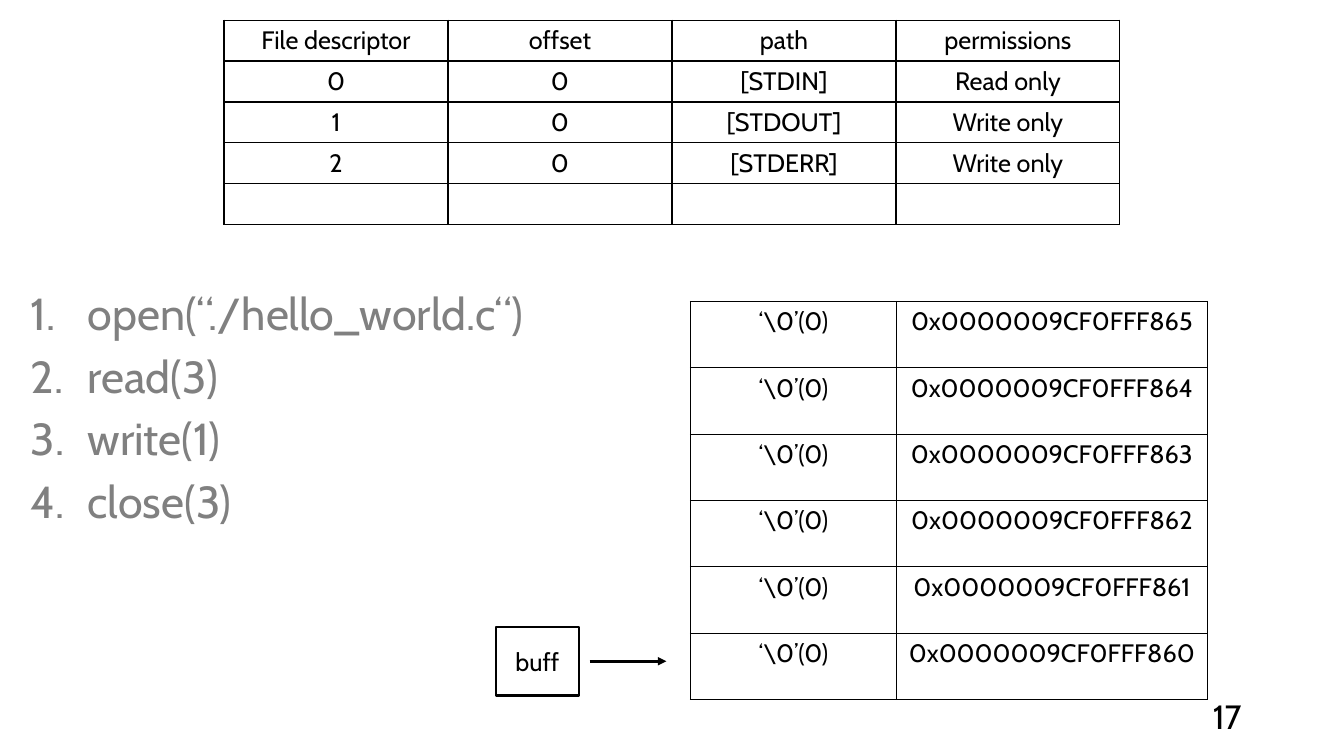
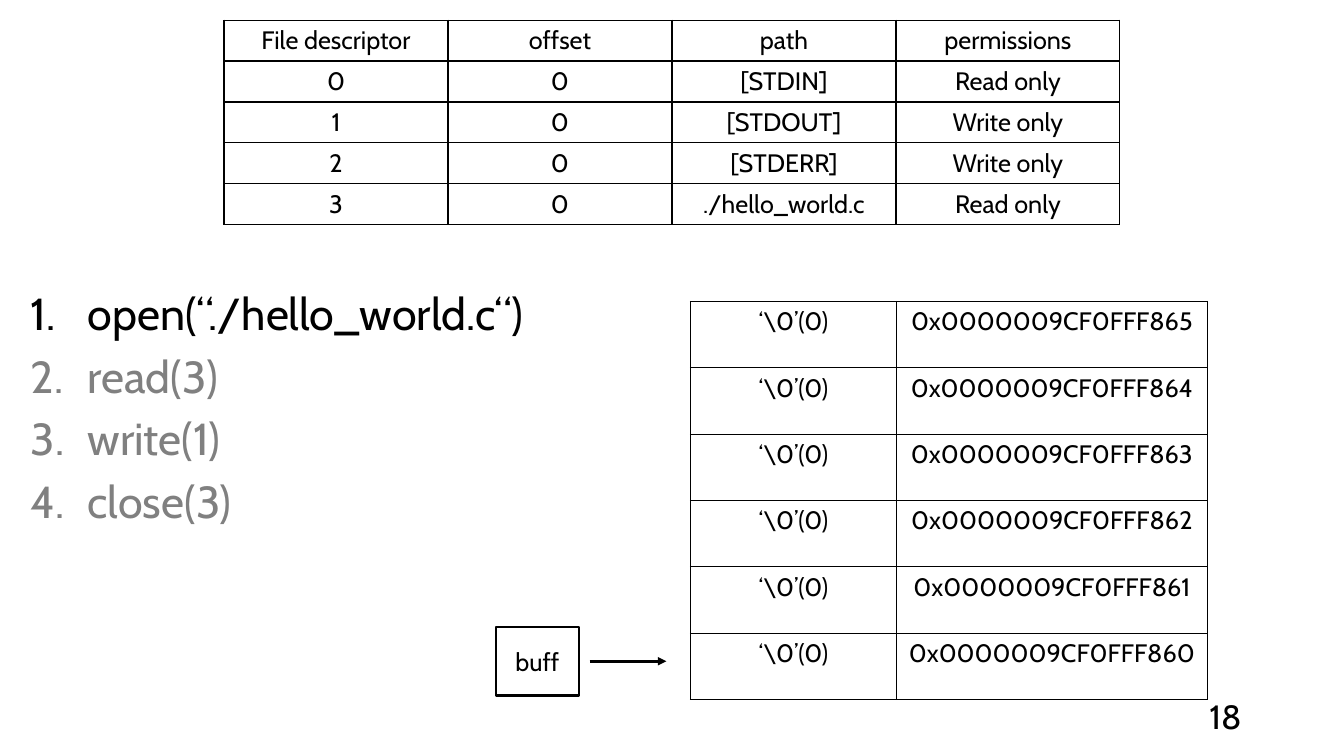
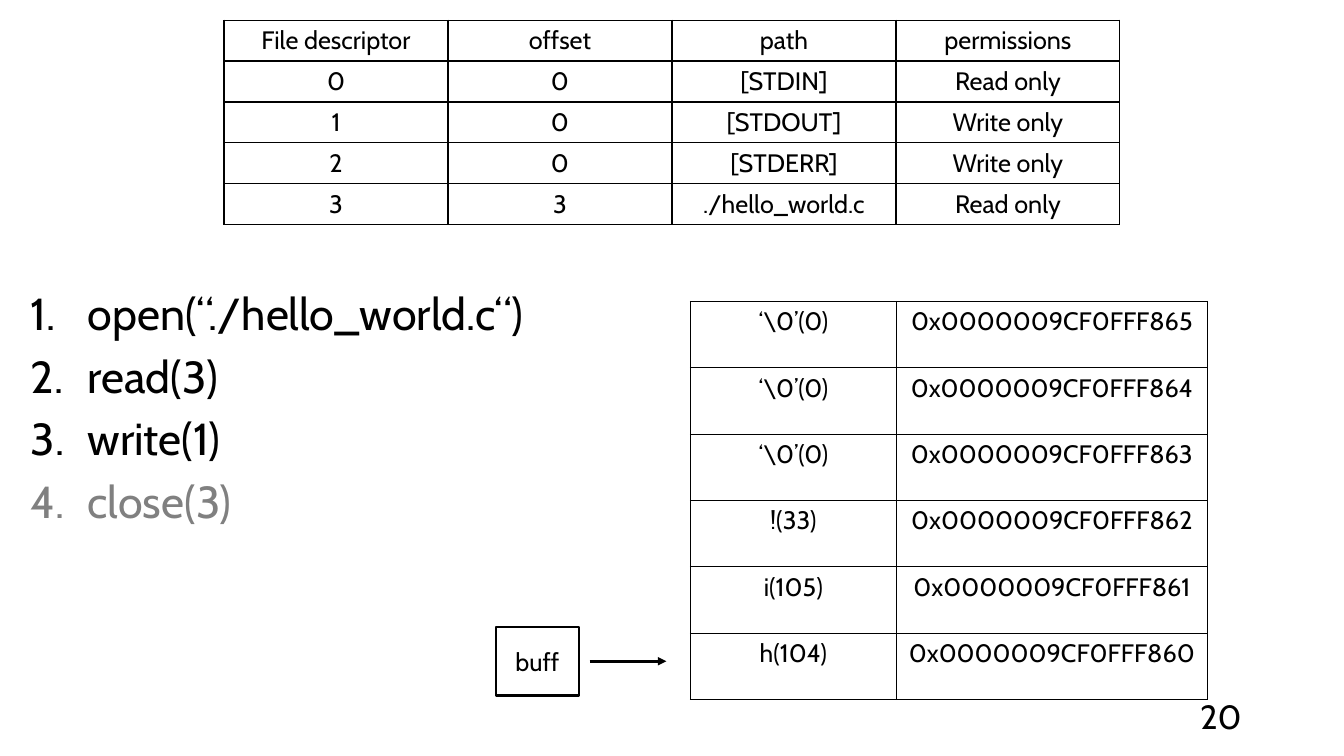
from lxml.etree import SubElement
from pptx import Presentation
from pptx.dml.color import RGBColor
from pptx.enum.shapes import MSO_CONNECTOR as Connector, MSO_SHAPE as Shape
from pptx.enum.text import MSO_ANCHOR as Anchor, PP_ALIGN as Align
from pptx.oxml import parse_xml
from pptx.oxml.ns import nsdecls, qn
from pptx.util import Pt

# Shared look
FONT = "Cabin"
BLACK, GREY, WHITE = "000000", "808080", "FFFFFF"
BODY_SIZE, CALL_SIZE, NUMBER_SIZE = 18, 32, 24

# Shared content
HEADER = ["File descriptor", "offset", "path", "permissions"]
STANDARD_FILES = [
    ["0", "0", "[STDIN]", "Read only"],
    ["1", "0", "[STDOUT]", "Write only"],
    ["2", "0", "[STDERR]", "Write only"],
]
CALLS = ["open(“./hello_world.c“)", "read(3)", "write(1)", "close(3)"]
ADDRESSES = [f"0x0000009CF0FFF86{digit}" for digit in range(5, -1, -1)]
EMPTY_BYTE = "‘\\0’(0)"

# Each step: page number, fourth descriptor, calls made, buffer from top to bottom
STEPS = [
    ("17", [""] * 4, 0, [EMPTY_BYTE] * 6),
    ("18", ["3", "0", "./hello_world.c", "Read only"], 1, [EMPTY_BYTE] * 6),
    ("20", ["3", "3", "./hello_world.c", "Read only"], 3,
     [EMPTY_BYTE] * 3 + ["!(33)", "i(105)", "h(104)"]),
]


def color(value):
    return RGBColor.from_string(value)


def place(left, top, width, height):
    return Pt(left), Pt(top), Pt(width), Pt(height)


def format_text(paragraph, size, align, ink=BLACK):
    paragraph.alignment = align
    for run in paragraph.runs:
        run.font.name = FONT
        run.font.size = Pt(size)
        run.font.color.rgb = color(ink)


def add_borders(cell):
    properties = cell._tc.get_or_add_tcPr()
    for position, side in enumerate(("lnL", "lnR", "lnT", "lnB")):
        properties.insert(position, parse_xml(
            f'<a:{side} {nsdecls("a")} w="{Pt(1)}"><a:solidFill>'
            f'<a:srgbClr val="{BLACK}"/></a:solidFill></a:{side}>'))


def add_grid(slide, left, top, column_widths, row_height, rows):
    frame = slide.shapes.add_table(
        len(rows), len(column_widths),
        *place(left, top, sum(column_widths), row_height * len(rows)))
    grid = frame.table
    grid.first_row = grid.horz_banding = False
    for column, width in zip(grid.columns, column_widths):
        column.width = Pt(width)
    for row, values in zip(grid.rows, rows):
        row.height = Pt(row_height)
        for cell, value in zip(row.cells, values):
            cell.fill.background()
            add_borders(cell)
            if value:
                cell.text_frame.text = value
                format_text(cell.text_frame.paragraphs[0], BODY_SIZE, Align.CENTER)


def add_page_number(slide, number):
    frame = slide.shapes.add_textbox(*place(678, 496.8, 216, 28.8)).text_frame
    frame.word_wrap = True
    frame.vertical_anchor = Anchor.MIDDLE
    frame.text = number
    format_text(frame.paragraphs[0], NUMBER_SIZE, Align.RIGHT)


def add_arrow(slide, start, end, y):
    arrow = slide.shapes.add_connector(
        Connector.STRAIGHT, Pt(start), Pt(y), Pt(end), Pt(y))
    arrow.line.color.rgb = color(BLACK)
    arrow.line.width = Pt(2)
    SubElement(arrow.line._get_or_add_ln(), qn("a:tailEnd"), type="triangle")
    SubElement(arrow._element.spPr, qn("a:effectLst"))


def add_label_box(slide, label, left, top, width, height):
    box = slide.shapes.add_shape(Shape.RECTANGLE, *place(left, top, width, height))
    box.shadow.inherit = False
    box.fill.solid()
    box.fill.fore_color.rgb = color(WHITE)
    box.line.color.rgb = color(BLACK)
    box.line.width = Pt(1.5)
    box.text_frame.text = label
    box.text_frame.vertical_anchor = Anchor.MIDDLE
    format_text(box.text_frame.paragraphs[0], BODY_SIZE, Align.CENTER)


def add_calls(slide, calls_made):
    frame = slide.shapes.add_textbox(*place(15, 205.2, 381, 334)).text_frame
    frame.word_wrap = True
    frame.text = "\n".join(CALLS)
    for index, call in enumerate(frame.paragraphs):
        format_text(call, CALL_SIZE, Align.LEFT, BLACK if index < calls_made else GREY)
        call.line_spacing = 0.9
        call.space_before = Pt(10)
        properties = call._p.get_or_add_pPr()
        properties.set("marL", str(Pt(40.5)))
        properties.set("indent", str(Pt(-40.5)))
        SubElement(properties, qn("a:buAutoNum"), type="arabicPeriod")


def add_step(deck, number, opened_file, calls_made, buffer):
    slide = deck.slides.add_slide(deck.slide_layouts[6])
    add_page_number(slide, number)
    # Descriptor table
    add_grid(slide, 160, 14.4, [160] * 4, 29.2,
             [HEADER, *STANDARD_FILES, opened_file])
    # Memory and the pointer to its start
    add_grid(slide, 493.2, 215.3, [147, 222.4], 47.4, list(zip(buffer, ADDRESSES)))
    add_arrow(slide, 421.2, 476, 472.3)
    add_label_box(slide, "buff", 354.3, 447.8, 59, 49)
    # System calls
    add_calls(slide, calls_made)


def main():
    deck = Presentation()
    deck.slide_width, deck.slide_height = Pt(960), Pt(540)
    for step in STEPS:
        add_step(deck, *step)
    deck.save("out.pptx")


if __name__ == "__main__":
    main()
